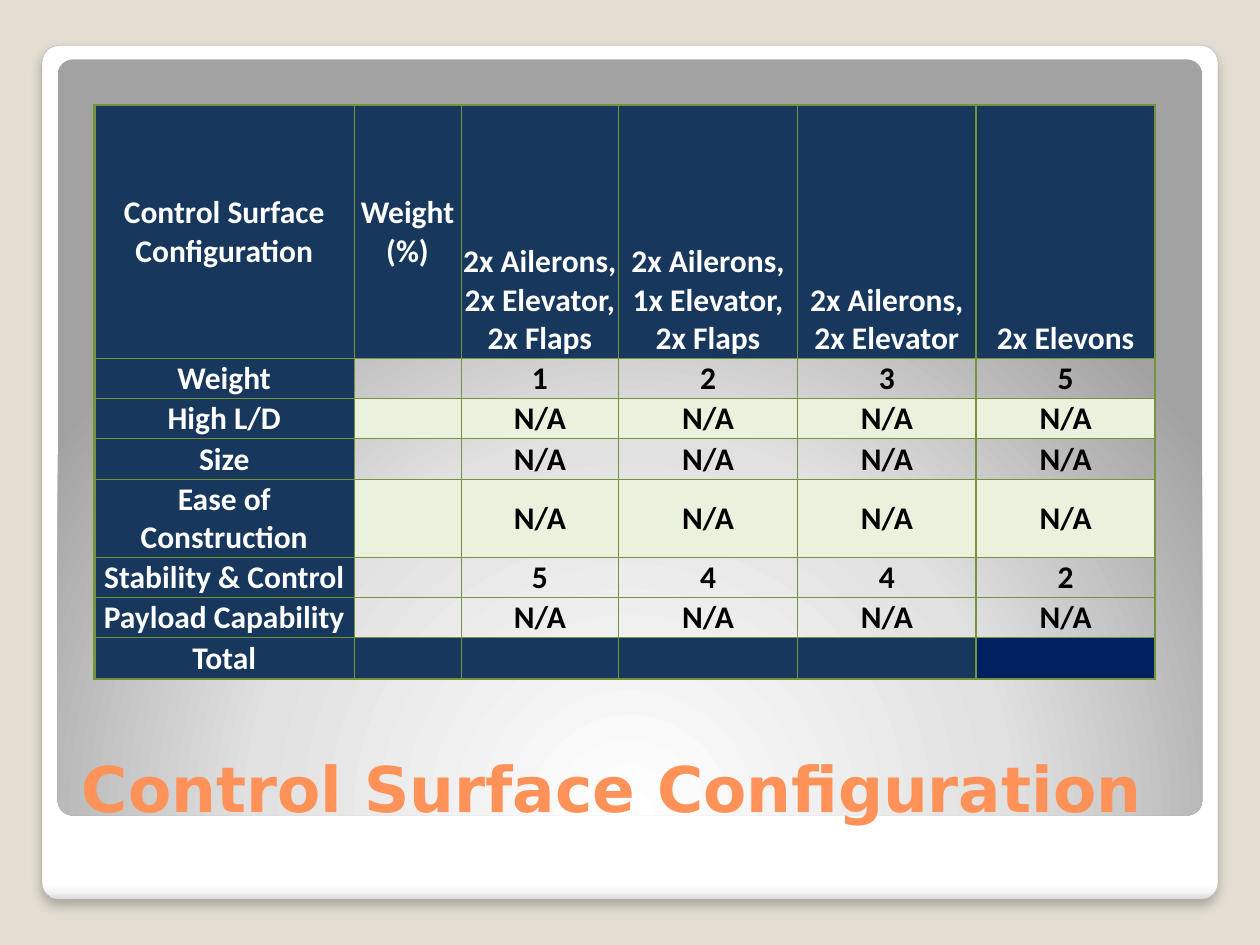
from dataclasses import dataclass

from pptx import Presentation, oxml
from pptx.dml.color import RGBColor
from pptx.enum import shapes, text
from pptx.oxml import ns
from pptx.util import Pt


@dataclass(frozen=True)
class Theme:
    backdrop: str = "E3DED1"
    frame_line: str = "A4A4A4"
    title: str = "FF9258"
    head: str = "17375D"
    winner: str = "002060"
    band: str = "EAF1DD"
    border: str = "75923C"
    light: str = "FFFFFF"
    dark: str = "000000"
    title_font: str = "DejaVu Sans"
    body_font: str = "Calibri"
    title_size: int = 36
    body_size: int = 18
    thin: float = 0.5
    thick: float = 1.5


THEME = Theme()
FRAME_STOPS = [(0, "FFFFFF"), (98, "FFFFFF"), (99, "F7F7F7"), (100, "DADADA")]
PANEL_STOPS = [(0, "FFFFFF"), (55, "E1E1E1"), (100, "A2A2A2")]
DOWNWARD = '<a:lin ang="5400000" scaled="0"/>'
FROM_BELOW = ('<a:path path="circle"><a:fillToRect l="50000" t="175000" '
              'r="50000" b="-75000"/></a:path>')
FRAME_SHADOW = ('<a:outerShdw blurRad="76200" dist="50800" dir="5400000" '
                'algn="t" rotWithShape="0"><a:srgbClr val="000000">'
                '<a:alpha val="25000"/></a:srgbClr></a:outerShdw>')

COLUMN_WIDTHS = [148.3, 61.2, 90, 102.2, 102.2, 102.2]
ROW_HEIGHTS = [144.7] + [23] * 6 + [23.8]
NOT_RATED = ["N/A"] * 4
ROWS = [
    ["Control Surface Configuration", "Weight\n(%)",
     "2x Ailerons,\n2x Elevator,\n2x Flaps",
     "2x Ailerons,\n1x Elevator,\n2x Flaps",
     "2x Ailerons,\n2x Elevator", "2x Elevons"],
    ["Weight", "", "1", "2", "3", "5"],
    ["High L/D", "", *NOT_RATED],
    ["Size", "", *NOT_RATED],
    ["Ease of Construction", "", *NOT_RATED],
    ["Stability & Control", "", "5", "4", "4", "2"],
    ["Payload Capability", "", *NOT_RATED],
    ["Total"] + [""] * 5,
]
BANDED_ROWS = (2, 4)
LAST_ROW = len(ROWS) - 1
LAST_COLUMN = len(COLUMN_WIDTHS) - 1


def rgb(value):
    return RGBColor.from_string(value)


def xml(tag, content="", attributes=""):
    return oxml.parse_xml(
        f'<a:{tag} {ns.nsdecls("a")} {attributes}>{content}</a:{tag}>')


def style_font(font, name, size, color):
    font.name, font.size, font.bold = name, Pt(size), True
    font.color.rgb = rgb(color)


def add_panel(page, left, top, width, height, stops, direction):
    box = page.shapes.add_shape(shapes.MSO_SHAPE.ROUNDED_RECTANGLE,
                                Pt(left), Pt(top), Pt(width), Pt(height))
    box.adjustments[0] = 0.02
    box.shadow.inherit = False
    box.line.fill.background()
    colors = "".join(f'<a:gs pos="{pos * 1000}"><a:srgbClr val="{color}"/></a:gs>'
                     for pos, color in stops)
    fill = xml("gradFill", f"<a:gsLst>{colors}</a:gsLst>{direction}",
               'rotWithShape="1"')
    box._element.spPr.find(ns.qn("a:prstGeom")).addnext(fill)
    return box


def add_frame(page):
    frame = add_panel(page, 24, 26, 672, 488, FRAME_STOPS, DOWNWARD)
    frame.line.color.rgb = rgb(THEME.frame_line)
    frame.line.width = Pt(0.16)
    effects = frame._element.spPr.find(ns.qn("a:effectLst"))
    effects.append(xml("outerShdw").getparent() or
                   oxml.parse_xml(FRAME_SHADOW.replace(
                       "<a:outerShdw", f'<a:outerShdw {ns.nsdecls("a")}', 1)))


def set_title(page, words):
    title = page.shapes.title
    title.left, title.top, title.width, title.height = (
        Pt(39.6), Pt(392.4), Pt(684), Pt(82.8))
    frame = title.text_frame
    frame.text = words
    frame.word_wrap = True
    frame.auto_size = text.MSO_AUTO_SIZE.NONE
    frame.vertical_anchor = text.MSO_ANCHOR.BOTTOM
    para = frame.paragraphs[0]
    para.alignment = text.PP_ALIGN.LEFT
    style_font(para.font, THEME.title_font, THEME.title_size, THEME.title)
    # Bring the title in front of the panels
    title._element.getparent().append(title._element)


def set_borders(cell, row, column):
    heavy = {
        "lnL": column in (0, LAST_COLUMN),
        "lnR": column >= LAST_COLUMN - 1,
        "lnT": row == 0,
        "lnB": row == LAST_ROW,
    }
    properties = cell._tc.get_or_add_tcPr()
    for place, (tag, is_heavy) in enumerate(heavy.items()):
        width = Pt(THEME.thick if is_heavy else THEME.thin)
        line = f'<a:solidFill><a:srgbClr val="{THEME.border}"/></a:solidFill>'
        properties.insert(place, xml(tag, line, f'w="{width}"'))


def cell_fill(row, column):
    if (row, column) == (LAST_ROW, LAST_COLUMN):
        return THEME.winner
    if row in (0, LAST_ROW) or column == 0:
        return THEME.head
    return THEME.band if row in BANDED_ROWS else None


def format_cell(cell, row, column, words):
    cell.margin_left = cell.margin_right = cell.margin_top = Pt(0.72)
    cell.margin_bottom = 0
    bottom = row == 0 and column > 1
    cell.vertical_anchor = (text.MSO_ANCHOR.BOTTOM if bottom
                            else text.MSO_ANCHOR.MIDDLE)
    para = cell.text_frame.paragraphs[0]
    para.text = words
    para.alignment = text.PP_ALIGN.CENTER
    color = THEME.light if row == 0 or column == 0 else THEME.dark
    style_font(para.font, THEME.body_font, THEME.body_size, color)
    fill = cell_fill(row, column)
    if fill:
        cell.fill.solid()
        cell.fill.fore_color.rgb = rgb(fill)
    else:
        cell.fill.background()
    set_borders(cell, row, column)


def add_ratings(page):
    table = page.shapes.add_table(
        len(ROWS), len(COLUMN_WIDTHS), Pt(54), Pt(60),
        Pt(sum(COLUMN_WIDTHS)), Pt(sum(ROW_HEIGHTS))).table
    table.first_row = table.horz_banding = False
    for column, width in zip(table.columns, COLUMN_WIDTHS):
        column.width = Pt(width)
    for row, height in zip(table.rows, ROW_HEIGHTS):
        row.height = Pt(height)
    for row, entries in enumerate(ROWS):
        for column, words in enumerate(entries):
            format_cell(table.cell(row, column), row, column, words)


def main():
    deck = Presentation()
    deck.slide_width, deck.slide_height = Pt(720), Pt(540)
    page = deck.slides.add_slide(deck.slide_layouts[5])

    # Backdrop, white frame and grey panel
    page.background.fill.solid()
    page.background.fill.fore_color.rgb = rgb(THEME.backdrop)
    add_frame(page)
    add_panel(page, 33, 34, 654, 432, PANEL_STOPS, FROM_BELOW)

    # Title and rating table
    set_title(page, "Control Surface Configuration")
    add_ratings(page)
    deck.save("out.pptx")


if __name__ == "__main__":
    main()
